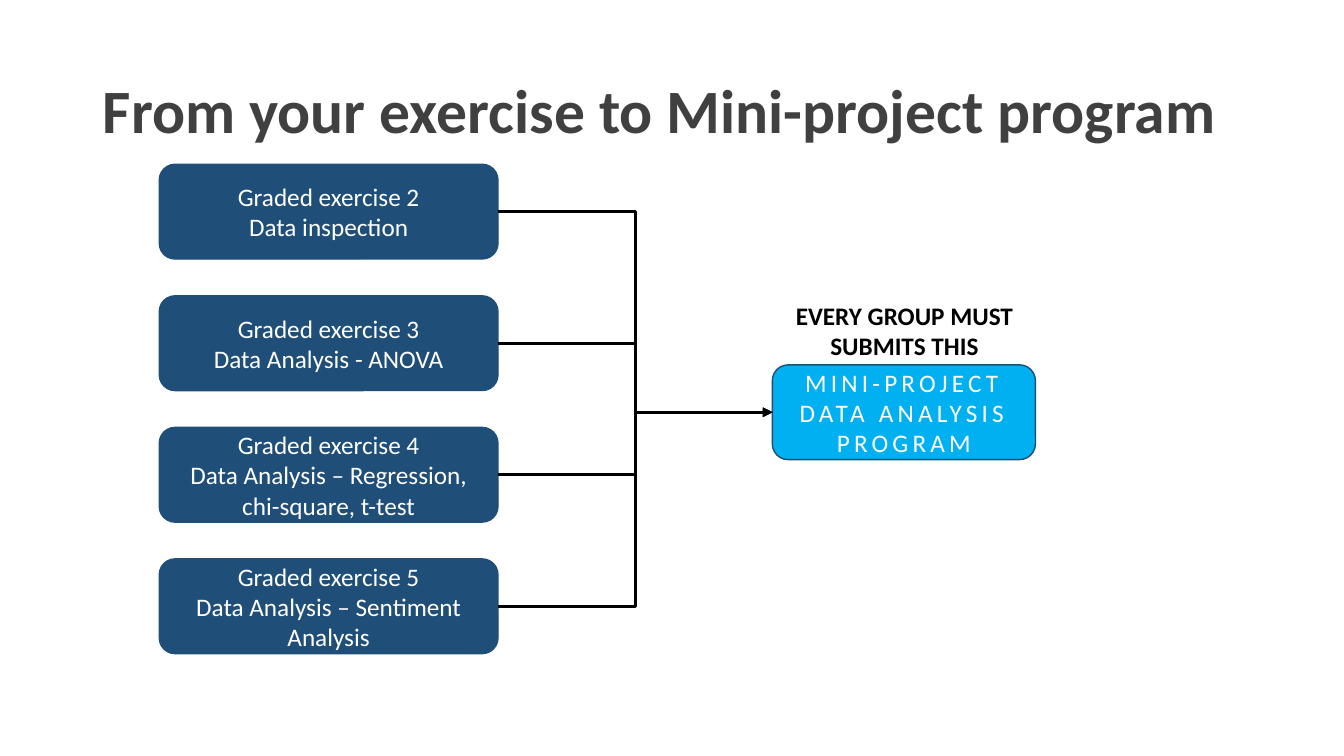
"""Build a slide showing four graded exercises feeding one mini-project program."""
import pptx
import pptx.util
import pptx.dml.color
import pptx.enum.shapes
import pptx.enum.text
import pptx.oxml
from pptx.oxml import ns

Inches, Pt = pptx.util.Inches, pptx.util.Pt
RGBColor = pptx.dml.color.RGBColor
SHAPE = pptx.enum.shapes.MSO_SHAPE
ALIGN, ANCHOR = pptx.enum.text.PP_ALIGN, pptx.enum.text.MSO_ANCHOR

TITLE = "From your exercise to Mini-project program"
EXERCISES = [
    "Graded exercise 2\nData inspection",
    "Graded exercise 3\nData Analysis - ANOVA",
    "Graded exercise 4\nData Analysis – Regression, chi-square, t-test",
    "Graded exercise 5\nData Analysis – Sentiment Analysis",
]
PROGRAM = "MINI-PROJECT DATA ANALYSIS PROGRAM"
CAPTION = "EVERY GROUP MUST\nSUBMITS THIS"

NAVY = RGBColor(0x1F, 0x4E, 0x79)
SKY = RGBColor(0x00, 0xB0, 0xF0)
GREY = RGBColor(0x40, 0x40, 0x40)
WHITE = RGBColor(0xFF, 0xFF, 0xFF)
BLACK = RGBColor(0x00, 0x00, 0x00)

BOX_H = 0.94
EXERCISE_X, EXERCISE_W = 1.58, 3.36
FIRST_Y, STEP_Y = 1.63, 1.305


def write(tf, text, size, color, bold=False, align=ALIGN.CENTER):
    tf.text = text
    for p in tf.paragraphs:
        p.alignment = align
        for r in p.runs:
            r.font.name, r.font.size = "Calibri", Pt(size)
            r.font.bold, r.font.color.rgb = bold, color


def add_box(s, x, y, w, text, fill):
    box = s.shapes.add_shape(SHAPE.ROUNDED_RECTANGLE,
                             Inches(x), Inches(y), Inches(w), Inches(BOX_H))
    box.shadow.inherit = False
    box.fill.solid()
    box.fill.fore_color.rgb = fill
    box.line.color.rgb, box.line.width = NAVY, Pt(1)
    box.text_frame.vertical_anchor = ANCHOR.MIDDLE
    write(box.text_frame, text, 18, WHITE)
    return box


def add_arrow(s, start, end):
    arrow = s.shapes.add_connector(pptx.enum.shapes.MSO_CONNECTOR.ELBOW, 0, 0, 0, 0)
    arrow.begin_connect(start, 3)
    arrow.end_connect(end, 1)
    arrow.line.color.rgb, arrow.line.width = BLACK, Pt(2.25)
    head = pptx.oxml.parse_xml(f'<a:tailEnd {ns.nsdecls("a")} type="triangle"/>')
    arrow.line._get_or_add_ln().append(head)
    arrow._element.spPr.append(pptx.oxml.parse_xml(f'<a:effectLst {ns.nsdecls("a")}/>'))


def main():
    prs = pptx.Presentation()
    prs.slide_width, prs.slide_height = Inches(13.33), Inches(7.5)
    s = prs.slides.add_slide(prs.slide_layouts[5])

    title = s.shapes.title
    title.left, title.top = Inches(0.92), Inches(0.4)
    title.width, title.height = Inches(11.5), Inches(1.45)
    tf = title.text_frame
    tf.auto_size = pptx.enum.text.MSO_AUTO_SIZE.NONE
    tf.vertical_anchor = ANCHOR.MIDDLE
    write(tf, TITLE, 44, GREY, bold=True, align=ALIGN.LEFT)
    tf.paragraphs[0].line_spacing = 0.9

    exercises = [add_box(s, EXERCISE_X, FIRST_Y + i * STEP_Y, EXERCISE_W, text, NAVY)
                 for i, text in enumerate(EXERCISES)]
    program = add_box(s, 7.66, 3.62, 2.61, PROGRAM, SKY)
    program.text_frame.paragraphs[0].runs[0].font._element.set("spc", "300")
    for exercise in exercises:
        add_arrow(s, exercise, program)

    caption = s.shapes.add_textbox(Inches(7.78), Inches(2.93), Inches(2.38), Inches(0.71))
    caption.text_frame.word_wrap = False
    write(caption.text_frame, CAPTION, 18, BLACK, bold=True)

    prs.save("out.pptx")


if __name__ == "__main__":
    main()
